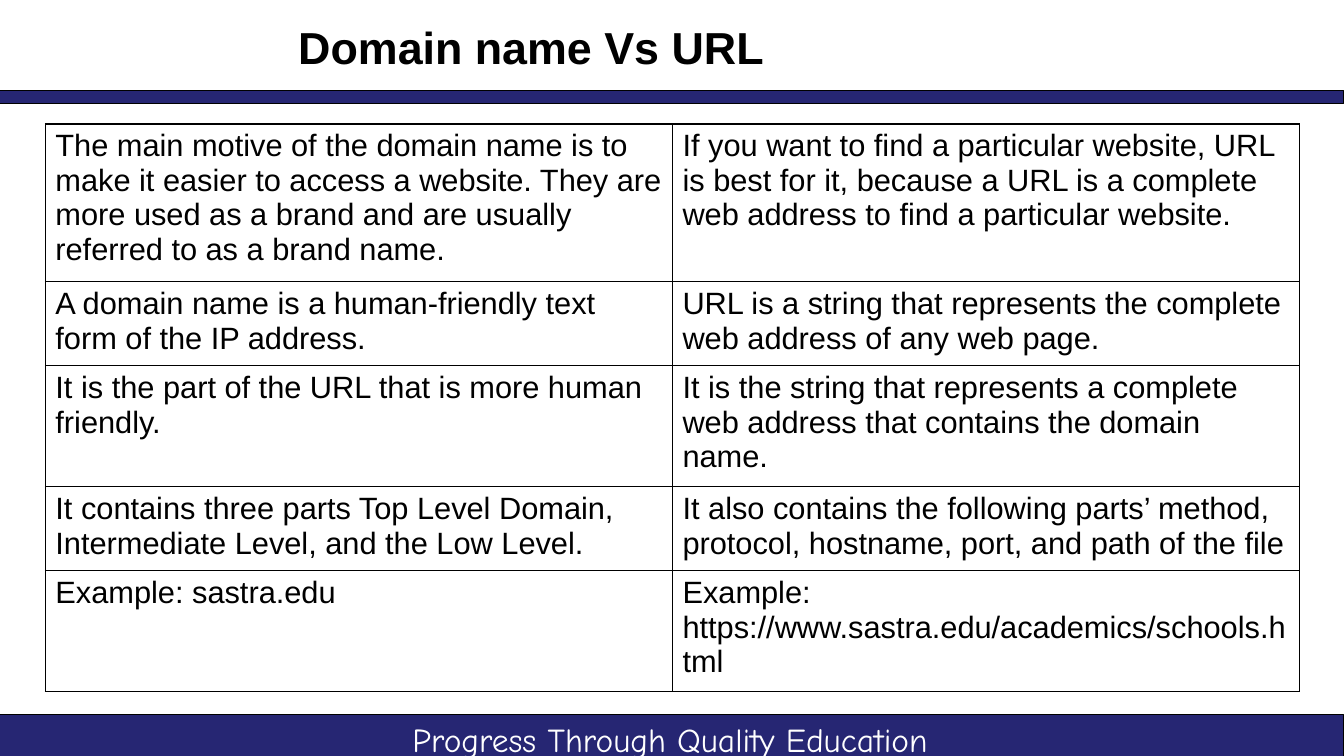
from lxml import etree
from pptx import Presentation
from pptx.dml.color import RGBColor
from pptx.enum.shapes import MSO_SHAPE
from pptx.enum.text import MSO_ANCHOR, MSO_AUTO_SIZE, PP_ALIGN
from pptx.oxml.ns import qn
from pptx.util import Inches, Pt

RECTANGLE = MSO_SHAPE.RECTANGLE
MIDDLE = MSO_ANCHOR.MIDDLE
CENTER = PP_ALIGN.CENTER
NO_AUTOFIT = MSO_AUTO_SIZE.NONE

COLORS = {"navy": "262673", "black": "000000", "white": "FFFFFF"}
TITLE_FONT = {"name": "Arial", "size": Pt(32), "bold": True}
CELL_FONT = {"name": "Arial", "size": Pt(22), "bold": False}
MOTTO_FONT = {"name": "Comic Neue", "size": Pt(23.9), "bold": False}
BORDER_SIDES = ("a:lnL", "a:lnR", "a:lnT", "a:lnB")

COMPARISON = [
    (1.46,
     "The main motive of the domain name is to make it easier to access a website. "
     "They are more used as a brand and are usually referred to as a brand name.",
     "If you want to find a particular website, URL is best for it, because a URL is "
     "a complete web address to find a particular website."),
    (0.78,
     "A domain name is a human-friendly text form of the IP address.",
     "URL is a string that represents the complete web address of any web page."),
    (1.13,
     "It is the part of the URL that is more human friendly.",
     "It is the string that represents a complete web address that contains the "
     "domain name."),
    (0.78,
     "It contains three parts Top Level Domain, Intermediate Level, and the Low Level.",
     "It also contains the following parts’ method, protocol, hostname, port, and "
     "path of the file"),
    (1.13,
     "Example: sastra.edu",
     "Example: https://www.sastra.edu/academics/schools.html"),
]


def rgb(color):
    """Return the named colour."""
    return RGBColor.from_string(COLORS[color])


def write(frame, text, font_format, color, align=None):
    """Put one formatted paragraph into a text frame."""
    frame.word_wrap = True
    paragraph = frame.paragraphs[0]
    paragraph.text = text
    paragraph.alignment = align
    for attribute, value in font_format.items():
        setattr(paragraph.font, attribute, value)
    paragraph.font.color.rgb = rgb(color)


def add_band(slide, top, height):
    """Draw a navy band across the slide."""
    band = slide.shapes.add_shape(
        RECTANGLE, 0, Inches(top), Inches(13.33), Inches(height))
    band.shadow.inherit = False
    band.fill.solid()
    band.fill.fore_color.rgb = rgb("navy")
    band.line.color.rgb = rgb("black")
    band.line.width = Pt(0.75)


def add_motto(slide, text):
    """Write the motto on the footer band."""
    motto = slide.shapes.add_textbox(
        Inches(3.48), Inches(7.07), Inches(6.33), Inches(0.53))
    motto.text_frame.vertical_anchor = MIDDLE
    write(motto.text_frame, text, MOTTO_FONT, "white", CENTER)


def set_title(slide, text):
    """Place and format the slide title."""
    title = slide.shapes.title
    title.left, title.top = Inches(0.25), Inches(0.13)
    title.width, title.height = Inches(10.04), Inches(0.66)
    title.text_frame.auto_size = NO_AUTOFIT
    title.text_frame.vertical_anchor = MIDDLE
    write(title.text_frame, text, TITLE_FONT, "black", CENTER)


def add_borders(cell):
    """Give a cell a thin black line on every side."""
    properties = cell._tc.get_or_add_tcPr()
    for side in BORDER_SIDES:
        line = etree.SubElement(properties, qn(side), w=str(Pt(1)))
        fill = etree.SubElement(line, qn("a:solidFill"))
        etree.SubElement(fill, qn("a:srgbClr"), val=COLORS["black"])


def add_comparison(slide, rows):
    """Build the two-column comparison table."""
    total_height = sum(height for height, *_ in rows)
    table = slide.shapes.add_table(
        len(rows), 2, Inches(0.45), Inches(1.23),
        Inches(12.44), Inches(total_height)).table
    table.first_row = False
    table.horz_banding = False
    for row, (height, *texts) in zip(table.rows, rows):
        row.height = Inches(height)
        for cell, text in zip(row.cells, texts):
            add_borders(cell)
            cell.fill.background()
            write(cell.text_frame, text, CELL_FONT, "black")


def main():
    """Build and save the slide."""
    deck = Presentation()
    deck.slide_width, deck.slide_height = Inches(13.33), Inches(7.5)
    slide = deck.slides.add_slide(deck.slide_layouts[5])
    add_band(slide, 7.09, 0.46)
    add_band(slide, 0.9, 0.13)
    add_motto(slide, "Progress Through Quality Education")
    set_title(slide, "Domain name Vs URL")
    add_comparison(slide, COMPARISON)
    deck.save("out.pptx")


if __name__ == "__main__":
    main()
